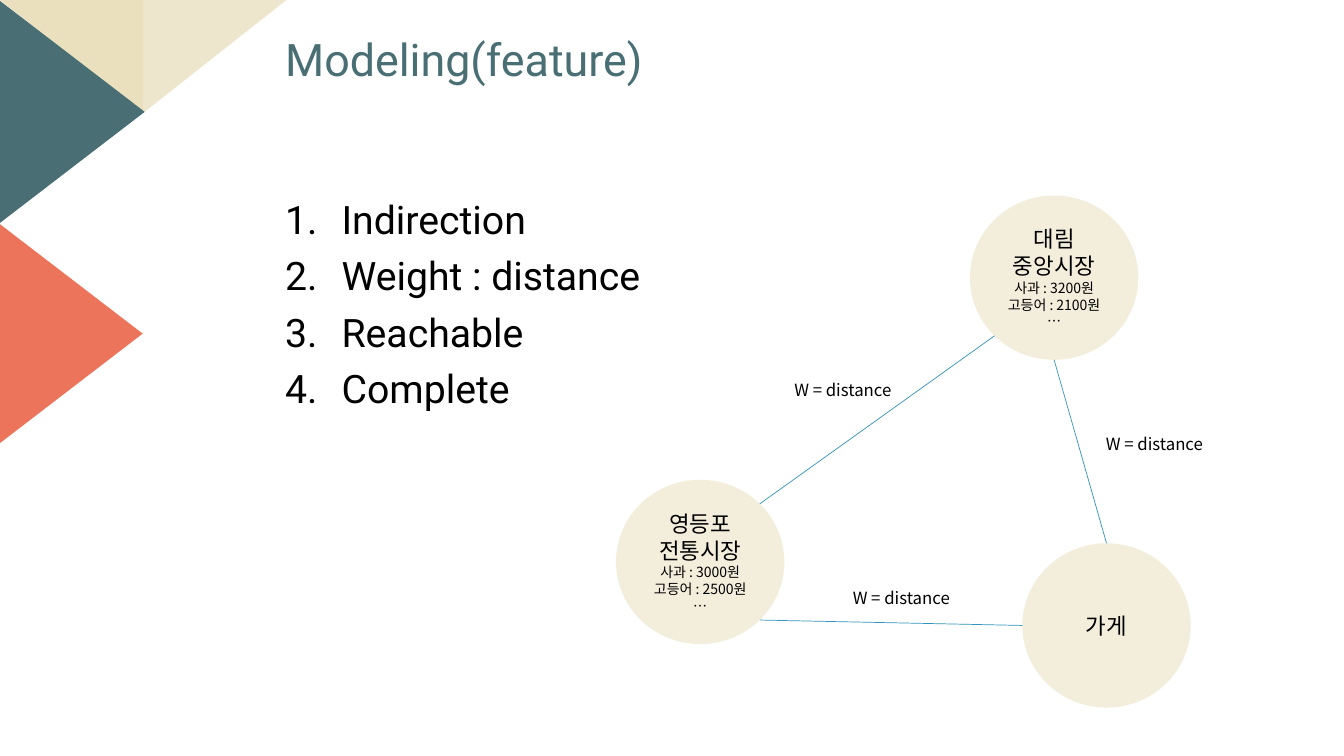
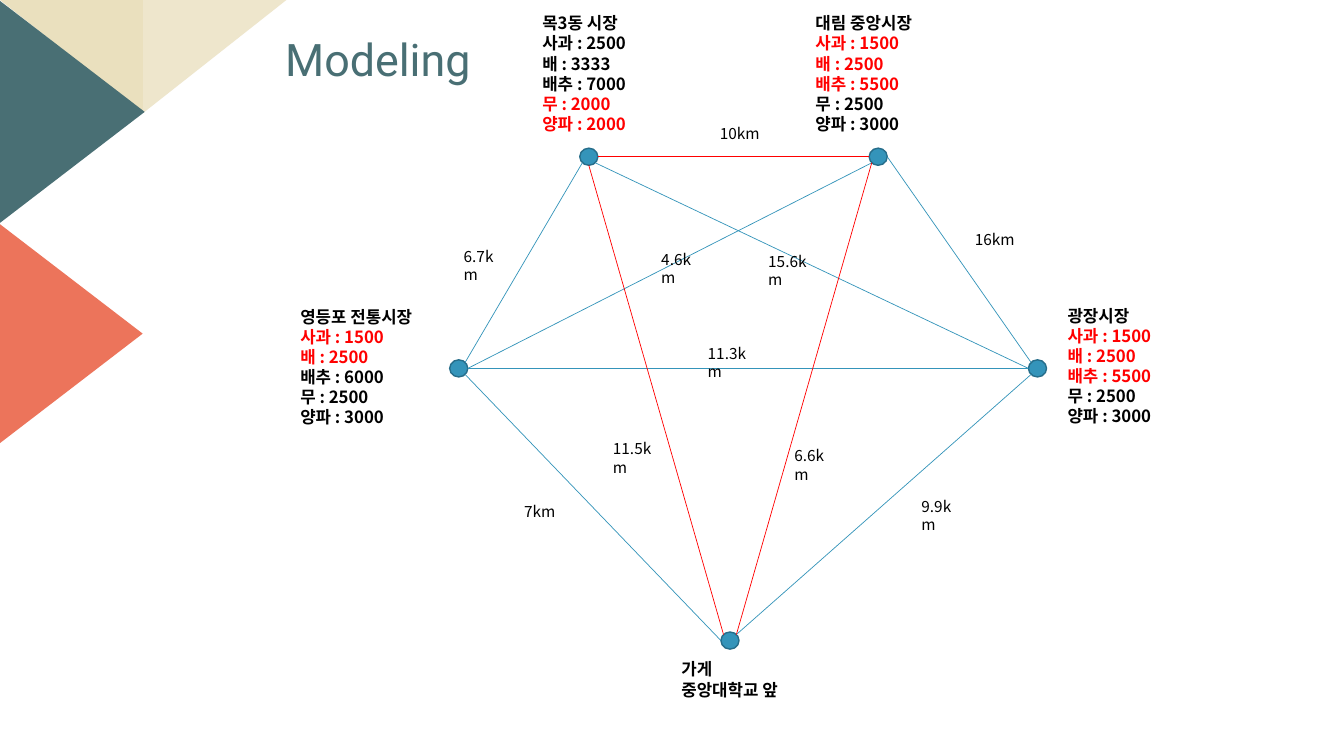
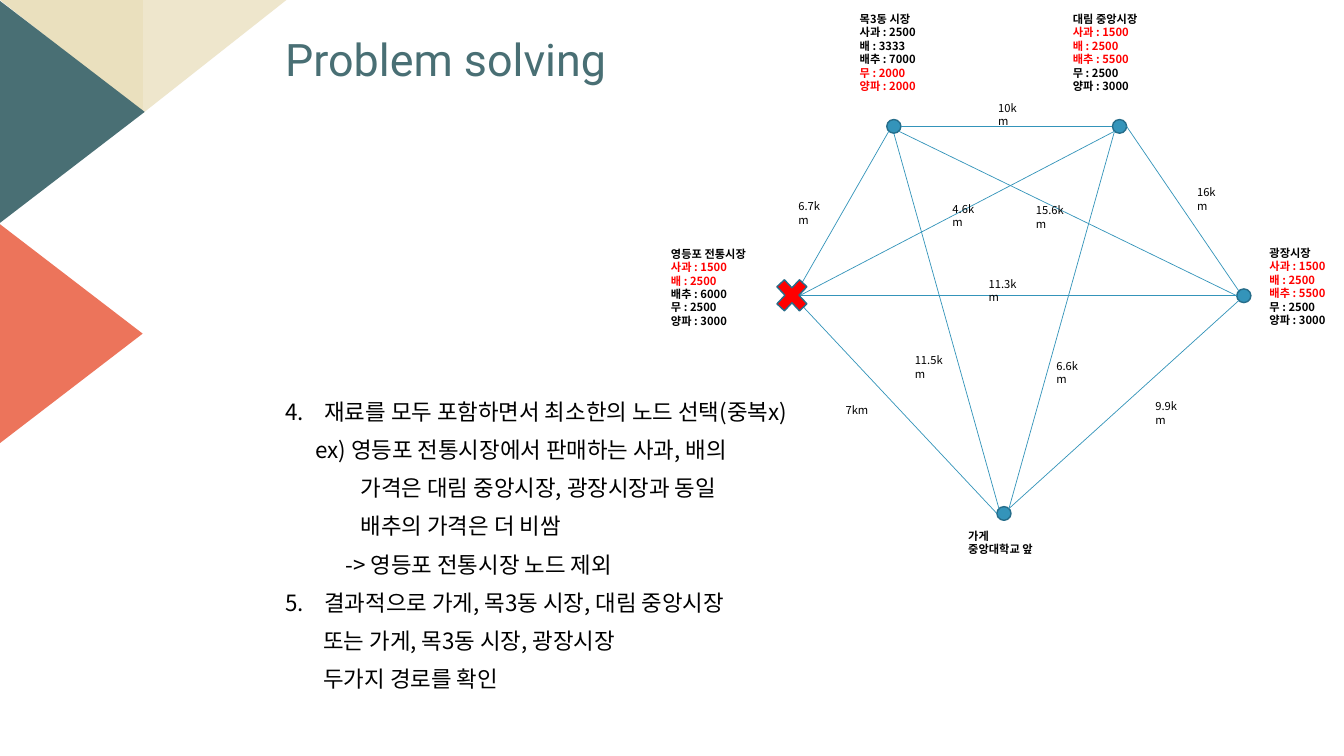
"""Build three slides that model a shopping route between markets as a graph."""
from dataclasses import dataclass
from math import sqrt

from lxml import etree
from pptx import Presentation
from pptx.dml.color import RGBColor
from pptx.enum.shapes import MSO_CONNECTOR, MSO_SHAPE
from pptx.enum.text import MSO_ANCHOR, MSO_AUTO_SIZE, PP_ALIGN
from pptx.oxml.ns import qn
from pptx.util import Inches, Pt

BLACK = RGBColor(0x00, 0x00, 0x00)
RED = RGBColor(0xFF, 0x00, 0x00)
BLUE = RGBColor(0x34, 0x94, 0xBA)
DARK_BLUE = RGBColor(0x26, 0x6D, 0x8A)
TEAL = RGBColor(0x49, 0x6F, 0x74)
CORAL = RGBColor(0xEC, 0x74, 0x5B)
SAND = RGBColor(0xEA, 0xE0, 0xBE)
PALE_SAND = RGBColor(0xEE, 0xE6, 0xCC)

ROBOTO = "Roboto"
NOTO = "Noto Sans CJK KR"

ELLIPSE = MSO_SHAPE.OVAL
TRIANGLE = MSO_SHAPE.ISOSCELES_TRIANGLE
RIGHT_TRIANGLE = MSO_SHAPE.RIGHT_TRIANGLE
CROSS = MSO_SHAPE.MATH_MULTIPLY
STRAIGHT = MSO_CONNECTOR.STRAIGHT
LEFT = PP_ALIGN.LEFT
CENTER = PP_ALIGN.CENTER
MIDDLE = MSO_ANCHOR.MIDDLE
GROW = MSO_AUTO_SIZE.SHAPE_TO_FIT_TEXT

DIAG = sqrt(0.5)
SITES = {
    "N": (0, -1), "S": (0, 1), "E": (1, 0), "W": (-1, 0),
    "NE": (DIAG, -DIAG), "NW": (-DIAG, -DIAG),
    "SE": (DIAG, DIAG), "SW": (-DIAG, DIAG),
}


@dataclass(frozen=True)
class Box:
    x: float
    y: float
    w: float
    h: float

    def site(self, name: str) -> tuple[float, float]:
        dx, dy = SITES[name]
        return self.x + self.w * (1 + dx) / 2, self.y + self.h * (1 + dy) / 2


@dataclass(frozen=True)
class Place:
    node: Box
    label: Box
    lines: tuple[str, ...]
    prices: tuple[int, ...] = ()


@dataclass(frozen=True)
class Edge:
    start: str
    start_site: str
    end: str
    end_site: str
    text: str
    x: float
    y: float
    on_route: bool = False


@dataclass(frozen=True)
class Scale:
    x0: float
    y0: float
    sx: float
    sy: float
    label_size: int
    distance_size: int

    def fit(self, b: Box) -> Box:
        return Box(self.x0 + self.sx * b.x, self.y0 + self.sy * b.y, self.sx * b.w, self.sy * b.h)


@dataclass(frozen=True)
class Bubble:
    box: Box
    name: tuple[str, ...]
    details: tuple[str, ...] = ()


@dataclass(frozen=True)
class Step:
    text: str
    indent: float
    number: int = 0


BUBBLES = {
    "yeongdeungpo": Bubble(Box(6.11, 4.76, 1.67, 1.63), ("영등포", "전통시장"),
                           ("사과 : 3000원", "고등어 : 2500원", "…")),
    "daerim": Bubble(Box(9.62, 1.94, 1.67, 1.63), ("대림", "중앙시장"),
                     ("사과 : 3200원", "고등어 : 2100원", "…")),
    "store": Bubble(Box(10.14, 5.39, 1.67, 1.63), ("가게",)),
}
BUBBLE_EDGES = (
    Edge("yeongdeungpo", "NE", "daerim", "SW", "W = distance", 7.78, 3.74),
    Edge("yeongdeungpo", "SE", "store", "W", "W = distance", 8.36, 5.8),
    Edge("daerim", "S", "store", "N", "W = distance", 10.87, 4.28),
)

GOODS = ("사과", "배", "배추", "무", "양파")
NODE_W, NODE_H = 0.18, 0.17
PLACES = {
    "mok": Place(Box(5.75, 1.47, NODE_W, NODE_H), Box(5.28, 0.08, 1.12, 1.31),
                 ("목3동 시장",), (2500, 3333, 7000, 2000, 2000)),
    "yeongdeungpo": Place(Box(4.46, 3.57, NODE_W, NODE_H), Box(2.88, 2.99, 1.44, 1.31),
                          ("영등포 전통시장",), (1500, 2500, 6000, 2500, 3000)),
    "gwangjang": Place(Box(10.2, 3.57, NODE_W, NODE_H), Box(10.49, 2.98, 1.44, 1.31),
                       ("광장시장",), (1500, 2500, 5500, 2500, 3000)),
    "daerim": Place(Box(8.62, 1.47, NODE_W, NODE_H), Box(7.99, 0.08, 1.44, 1.31),
                    ("대림 중앙시장",), (1500, 2500, 5500, 2500, 3000)),
    "store": Place(Box(7.15, 6.27, NODE_W, NODE_H), Box(6.66, 6.49, 1.24, 0.5),
                   ("가게", "중앙대학교 앞")),
}
LOWEST = tuple(map(min, zip(*(place.prices for place in PLACES.values() if place.prices))))
ROADS = (
    Edge("mok", "E", "daerim", "W", "10km", 7.04, 1.18, True),
    Edge("mok", "SW", "yeongdeungpo", "NE", "6.7km", 4.5, 2.4),
    Edge("daerim", "E", "gwangjang", "NW", "16km", 9.57, 2.23),
    Edge("yeongdeungpo", "SE", "store", "W", "7km", 5.1, 4.93),
    Edge("store", "NE", "gwangjang", "SW", "9.9km", 9.04, 4.88),
    Edge("yeongdeungpo", "E", "gwangjang", "W", "11.3km", 6.92, 3.36),
    Edge("mok", "SE", "gwangjang", "W", "15.6km", 7.52, 2.45),
    Edge("daerim", "SW", "yeongdeungpo", "E", "4.6km", 6.46, 2.43),
    Edge("mok", "S", "store", "NW", "11.5km", 5.98, 4.31, True),
    Edge("daerim", "SW", "store", "NE", "6.6km", 7.78, 4.38, True),
)
FULL = Scale(0, 0, 1, 1, 12, 11)
SMALL = Scale(4.31, 0.01, 0.78, 0.8, 8, 8)

FEATURES = ("Indirection", "Weight : distance", "Reachable", "Complete")
STEPS = (
    Step("재료를 모두 포함하면서 최소한의 노드 선택(중복x)", 0.39, 4),
    Step("ex) 영등포 전통시장에서 판매하는 사과, 배의", 0.3),
    Step("가격은 대림 중앙시장, 광장시장과 동일", 0.75),
    Step("배추의 가격은 더 비쌈", 0.75),
    Step("-> 영등포 전통시장 노드 제외", 0.6),
    Step("결과적으로 가게, 목3동 시장, 대림 중앙시장", 0.39, 5),
    Step("또는 가게, 목3동 시장, 광장시장", 0.38),
    Step("두가지 경로를 확인", 0.38),
)


def inches(b: Box) -> tuple[Inches, ...]:
    return Inches(b.x), Inches(b.y), Inches(b.w), Inches(b.h)


def add_text(tf, text: str, *, size: int, font: str = NOTO, color=BLACK, bold: bool = False,
             align=LEFT, spaced: bool = False, indent: float = 0, number: int = 0) -> None:
    p = tf.paragraphs[0]
    first = not p.runs
    if not first:
        p = tf.add_paragraph()
    p.alignment = align
    if spaced:
        p.line_spacing = 0.9
        p.space_before = Pt(0 if first else 10)
    pPr = p._p.get_or_add_pPr()
    if indent:
        pPr.set("marL", str(Inches(indent)))
        pPr.set("indent", str(-Inches(indent) if number else 0))
    if number:
        bullet = etree.SubElement(pPr, qn("a:buAutoNum"), type="arabicPeriod")
        if number > 1:
            bullet.set("startAt", str(number))
    r = p.add_run()
    r.text = text
    r.font.size = Pt(size)
    r.font.bold = bold
    r.font.color.rgb = color
    r.font.name = font
    etree.SubElement(r._r.get_or_add_rPr(), qn("a:ea"), typeface=font)


def add_box(shapes, b: Box, grow: bool = False):
    tf = shapes.add_textbox(*inches(b)).text_frame
    tf.word_wrap = True
    if grow:
        tf.auto_size = GROW
    return tf


def add_shape(shapes, kind, b: Box, fill, line=None, rotation: int = 0):
    sp = shapes.add_shape(kind, *inches(b))
    sp.shadow.inherit = False
    sp.rotation = rotation
    sp.fill.solid()
    sp.fill.fore_color.rgb = fill
    if line is None:
        sp.line.fill.background()
    else:
        sp.line.color.rgb = line
        sp.line.width = Pt(1)
    return sp


def add_line(shapes, start: tuple[float, float], end: tuple[float, float], color=BLUE) -> None:
    line = shapes.add_connector(STRAIGHT, *(Inches(v) for v in start + end))
    line.line.color.rgb = color
    line.line.width = Pt(0.5)
    etree.SubElement(line._element.spPr, qn("a:effectLst"))


def add_slide(prs, title: str):
    s = prs.slides.add_slide(prs.slide_layouts[6])
    add_shape(s.shapes, RIGHT_TRIANGLE, Box(0, 0, 1.42, 1.12), SAND, rotation=180)
    mirrored = add_shape(s.shapes, RIGHT_TRIANGLE, Box(1.42, 0, 1.42, 1.12), PALE_SAND, rotation=180)
    mirrored._element.spPr.find(qn("a:xfrm")).set("flipH", "1")
    add_shape(s.shapes, TRIANGLE, Box(-0.39, 0.39, 2.21, 1.44), TEAL, rotation=90)
    add_shape(s.shapes, TRIANGLE, Box(-0.41, 2.59, 2.21, 1.44), CORAL, rotation=90)
    tf = add_box(s.shapes, Box(2.73, 0.33, 6.06, 0.59))
    add_text(tf, title, size=32, font=ROBOTO, color=TEAL, spaced=True)
    return s


def add_bubble(shapes, bubble: Bubble) -> None:
    sp = add_shape(shapes, ELLIPSE, bubble.box, PALE_SAND)
    color = sp._element.spPr.find(qn("a:solidFill"))[0]
    etree.SubElement(color, qn("a:alpha"), val="69000")
    tf = sp.text_frame
    tf.word_wrap = True
    tf.vertical_anchor = MIDDLE
    for size, lines in ((16, bubble.name), (10, bubble.details)):
        for line in lines:
            add_text(tf, line, size=size, align=CENTER)


def add_network(shapes, scale: Scale, show_route: bool) -> None:
    nodes = {key: scale.fit(place.node) for key, place in PLACES.items()}
    for key, place in PLACES.items():
        add_shape(shapes, ELLIPSE, nodes[key], BLUE, DARK_BLUE)
        tf = add_box(shapes, scale.fit(place.label), grow=True)
        for line in place.lines:
            add_text(tf, line, size=scale.label_size, bold=True)
        for good, price, lowest in zip(GOODS, place.prices, LOWEST):
            color = RED if price == lowest else BLACK
            add_text(tf, f"{good} : {price}", size=scale.label_size, bold=True, color=color)
    for road in ROADS:
        color = RED if show_route and road.on_route else BLUE
        add_line(shapes, nodes[road.start].site(road.start_site),
                 nodes[road.end].site(road.end_site), color)
    for road in ROADS:
        width = 0.69 if len(road.text) > 5 else 0.62
        tf = add_box(shapes, scale.fit(Box(road.x, road.y, width, 0.29)), grow=True)
        add_text(tf, road.text, size=scale.distance_size)


def feature_slide(prs) -> None:
    s = add_slide(prs, "Modeling(feature)")
    tf = add_box(s.shapes, Box(2.73, 1.94, 6.45, 4.23))
    for feature in FEATURES:
        add_text(tf, feature, size=28, font=ROBOTO, spaced=True, indent=0.56, number=1)
    for bubble in BUBBLES.values():
        add_bubble(s.shapes, bubble)
    for edge in BUBBLE_EDGES:
        add_line(s.shapes, BUBBLES[edge.start].box.site(edge.start_site),
                 BUBBLES[edge.end].box.site(edge.end_site))
        tf = add_box(s.shapes, Box(edge.x, edge.y, 1.26, 0.29))
        add_text(tf, edge.text, size=12, spaced=True)


def network_slide(prs) -> None:
    s = add_slide(prs, "Modeling")
    add_network(s.shapes, FULL, show_route=True)


def solving_slide(prs) -> None:
    s = add_slide(prs, "Problem solving")
    tf = add_box(s.shapes, Box(2.73, 3.93, 5.56, 3.24))
    for step in STEPS:
        add_text(tf, step.text, size=16, spaced=True, indent=step.indent, number=step.number)
    add_network(s.shapes.add_group_shape().shapes, SMALL, show_route=False)
    add_shape(s.shapes, CROSS, Box(7.64, 2.7, 0.43, 0.46), RED, DARK_BLUE)


def main() -> None:
    prs = Presentation()
    prs.slide_width = Inches(13.33)
    prs.slide_height = Inches(7.5)
    feature_slide(prs)
    network_slide(prs)
    solving_slide(prs)
    prs.save("out.pptx")


if __name__ == "__main__":
    main()
